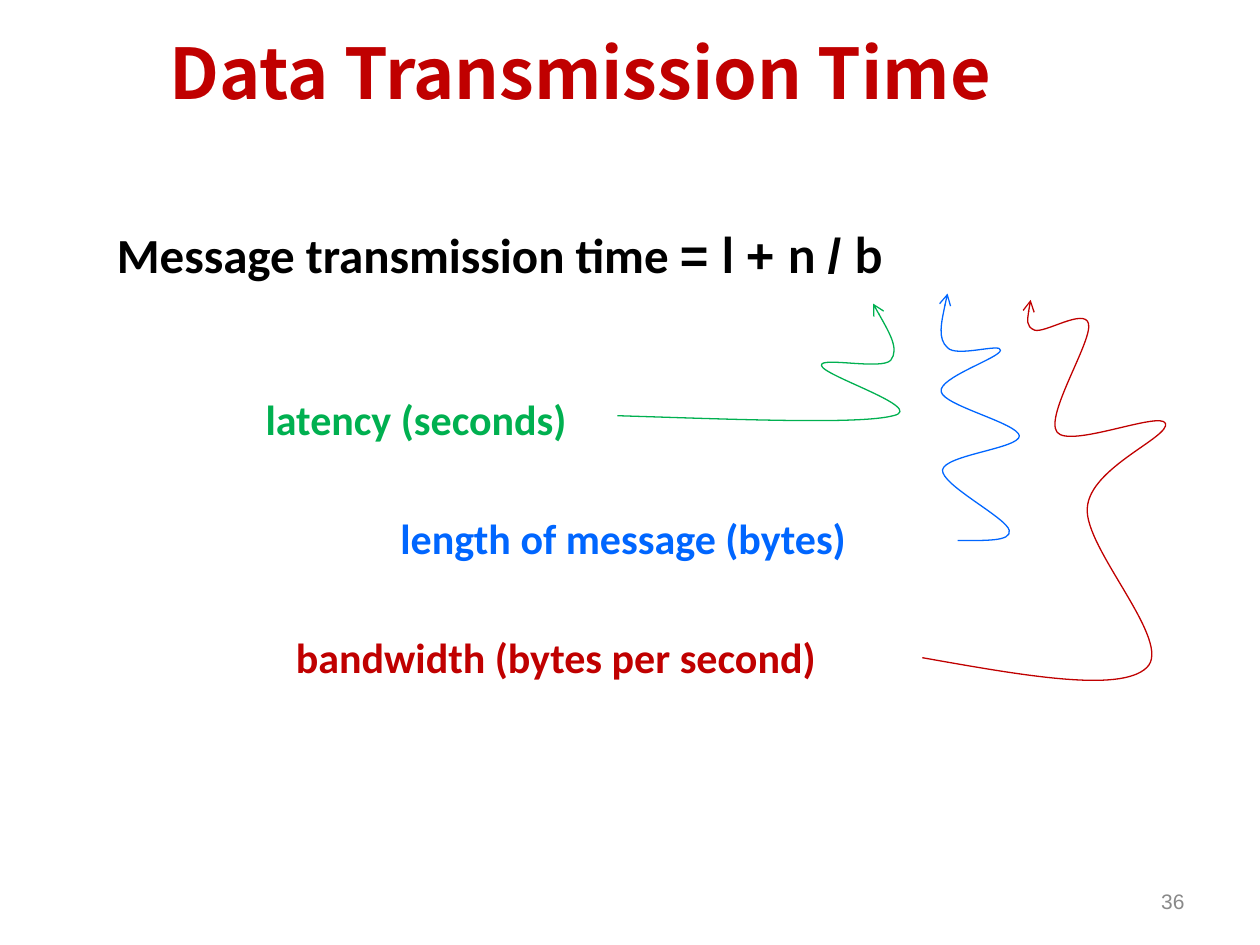
from pptx import Presentation
from pptx.dml.color import RGBColor
from pptx.enum.text import MSO_ANCHOR, MSO_AUTO_SIZE, PP_ALIGN
from pptx.oxml.ns import qn
from pptx.util import Inches, Pt
from lxml.etree import SubElement

# The slide is a grid of 1000 columns by 750 rows.
COLS = 1000
WIDTH, HEIGHT = Inches(10), Inches(7.5)
UNIT = WIDTH // COLS

COLORS = {
    "red": "C00000",
    "green": "00B050",
    "blue": "0066FF",
    "black": "000000",
    "gray": "898989",
}

FORMULA = [
    ("Message transmission time ", "Calibri"),
    ("= ", "Arial"), ("l ", "Lato"),
    ("+ ", "Arial"), ("n ", "Lato"),
    ("/ ", "Arial"), ("b", "Lato"),
]

# label, colour, left, top, width
TERMS = [
    ("latency (seconds)", "green", 201, 307, 284),
    ("bandwidth (bytes per second)", "red", 225, 496, 462),
    ("length of message (bytes)", "blue", 308, 402, 404),
]

# Start point, then two control points and an end point per curve
ARROWS = {
    "green": [
        (490, 330),
        (586, 333), (682, 337), (709, 330),
        (736, 324), (652, 298), (652, 290),
        (651, 283), (700, 294), (707, 286),
        (714, 277), (703, 259), (693, 241),
    ],
    "blue": [
        (760, 429),
        (781, 429), (803, 430), (801, 421),
        (799, 411), (747, 385), (748, 373),
        (750, 361), (809, 356), (809, 346),
        (808, 336), (749, 322), (747, 311),
        (744, 300), (794, 284), (794, 278),
        (795, 272), (759, 284), (752, 276),
        (744, 269), (748, 251), (752, 233),
    ],
    "red": [
        (732, 522),
        (811, 536), (889, 550), (910, 530),
        (932, 510), (860, 435), (863, 403),
        (865, 371), (929, 347), (925, 336),
        (921, 326), (849, 356), (839, 343),
        (829, 330), (867, 271), (864, 257),
        (861, 244), (829, 265), (821, 262),
        (814, 259), (816, 248), (818, 238),
    ],
}


def rgb(name):
    return RGBColor.from_string(COLORS[name])


def add_text(slide, box, runs, size, color, bold=True, wrap=True,
             align=PP_ALIGN.LEFT, anchor=MSO_ANCHOR.TOP, grow=False):
    """Add one paragraph made of (text, font name) runs."""
    tf = slide.shapes.add_textbox(*(n * UNIT for n in box)).text_frame
    tf.word_wrap = wrap
    tf.vertical_anchor = anchor
    tf.auto_size = MSO_AUTO_SIZE.SHAPE_TO_FIT_TEXT if grow else MSO_AUTO_SIZE.NONE
    p = tf.paragraphs[0]
    p.alignment = align
    p.font.size = Pt(size)
    p.font.bold = bold
    p.font.color.rgb = rgb(color)
    for text, font in runs:
        r = p.add_run()
        r.text = text
        r.font.name = font


def bend(path):
    """Turn each three line segments of a path into one cubic curve."""
    lines = path.findall(qn("a:lnTo"))
    for i in range(0, len(lines), 3):
        curve = SubElement(path, qn("a:cubicBezTo"))
        for line in lines[i:i + 3]:
            curve.append(line[0])
            path.remove(line)


def add_curved_arrow(slide, points, color):
    builder = slide.shapes.build_freeform(*points[0], scale=UNIT)
    builder.add_line_segments(points[1:], close=False)
    sp = builder.convert_to_shape()
    sp.shadow.inherit = False
    sp.fill.background()
    sp.line.color.rgb = rgb(color)
    sp.line.width = Pt(0.75)
    bend(next(sp._element.iter(qn("a:path"))))
    SubElement(sp.line._get_or_add_ln(), qn("a:tailEnd"), type="arrow")


def main():
    prs = Presentation()
    prs.slide_width, prs.slide_height = WIDTH, HEIGHT
    slide = prs.slides.add_slide(prs.slide_layouts[6])

    add_text(slide, (125, 0, 856, 114),
             [("Data Transmission Time", "Noto Sans CJK KR")],
             40, "red", anchor=MSO_ANCHOR.MIDDLE)
    add_text(slide, (717, 695, 233, 40), [("36", "Arial")], 12, "gray",
             bold=False, align=PP_ALIGN.RIGHT, anchor=MSO_ANCHOR.MIDDLE)
    add_text(slide, (83, 173, 1100, 57), FORMULA, 28, "black", grow=True)
    for label, color, left, top, width in TERMS:
        add_text(slide, (left, top, width, 51), [(label, "Calibri")],
                 24, color, wrap=False, grow=True)
    for color, points in ARROWS.items():
        add_curved_arrow(slide, points, color)

    prs.save("out.pptx")


if __name__ == "__main__":
    main()
